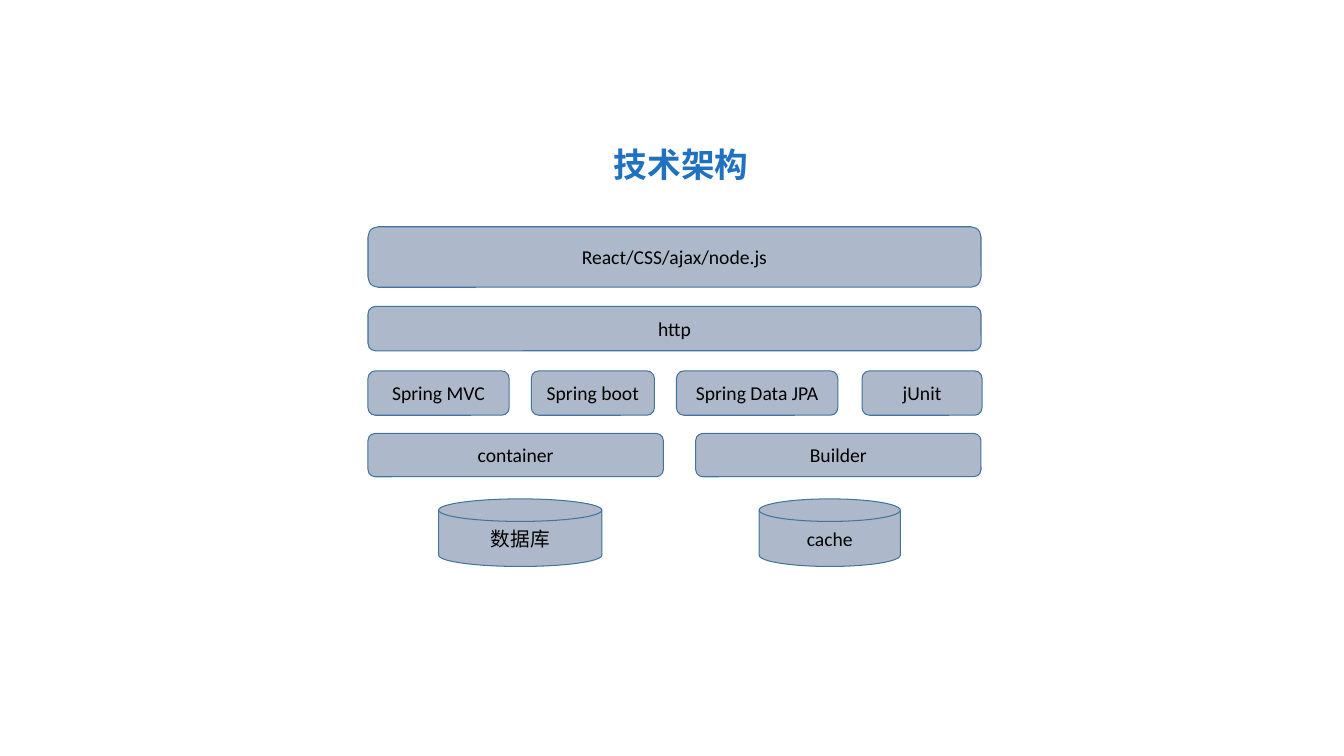
from dataclasses import dataclass

from lxml import etree
from pptx import Presentation
from pptx import util as u
from pptx.dml.color import RGBColor
from pptx.enum import shapes, text
from pptx.oxml.ns import qn
from pptx.slide import Slide
from pptx.text.text import TextFrame

COLORS = {"title": "2071C0", "fill": "ADB9CA", "line": "43739E", "label": "000000"}
LATIN_FONT = "Calibri"
CHINESE_FONT = "Noto Sans CJK SC"
BLOCK = shapes.MSO_SHAPE.ROUNDED_RECTANGLE
STORE = shapes.MSO_SHAPE.FLOWCHART_MAGNETIC_DISK
LEFT = 3.65
FULL_WIDTH = 6.08


@dataclass(frozen=True)
class Component:
    label: str
    left: float
    width: float


@dataclass(frozen=True)
class Layer:
    top: float
    height: float
    components: tuple[Component, ...]
    kind: shapes.MSO_SHAPE = BLOCK


LAYERS = (
    Layer(2.25, 0.6, (Component("React/CSS/ajax/node.js", LEFT, FULL_WIDTH),)),
    Layer(3.04, 0.44, (Component("http", LEFT, FULL_WIDTH),)),
    Layer(3.68, 0.44, (
        Component("Spring MVC", LEFT, 1.4),
        Component("Spring boot", 5.27, 1.22),
        Component("Spring Data JPA", 6.71, 1.6),
        Component("jUnit", 8.55, 1.19),
    )),
    Layer(4.3, 0.43, (
        Component("container", LEFT, 2.93),
        Component("Builder", 6.9, 2.83),
    )),
    Layer(4.95, 0.67, (
        Component("数据库", 4.35, 1.62),
        Component("cache", 7.53, 1.4),
    ), STORE),
)


def format_text(frame: TextFrame, size: float, color: str, latin: str, bold: bool) -> None:
    """Centre the text and set its Latin and East Asian fonts."""
    frame.vertical_anchor = text.MSO_ANCHOR.MIDDLE
    for paragraph in frame.paragraphs:
        paragraph.alignment = text.PP_ALIGN.CENTER
        for run in paragraph.runs:
            run.font.size = u.Pt(size)
            run.font.bold = bold
            run.font.name = latin
            run.font.color.rgb = RGBColor.from_string(COLORS[color])
            east_asian = etree.SubElement(run.font._element, qn("a:ea"))
            east_asian.set("typeface", CHINESE_FONT)


def add_title(slide: Slide) -> None:
    title = slide.shapes.title
    title.left, title.top = u.Inches(5.98), u.Inches(1.38)
    title.width, title.height = u.Inches(1.55), u.Inches(0.5)
    frame = title.text_frame
    frame.text = "技术架构"
    frame.word_wrap = False
    frame.auto_size = text.MSO_AUTO_SIZE.NONE
    format_text(frame, 24, "title", CHINESE_FONT, bold=True)


def add_layer(slide: Slide, layer: Layer) -> None:
    for component in layer.components:
        shape = slide.shapes.add_shape(
            layer.kind,
            u.Inches(component.left), u.Inches(layer.top),
            u.Inches(component.width), u.Inches(layer.height),
        )
        shape.shadow.inherit = False
        shape.fill.solid()
        shape.fill.fore_color.rgb = RGBColor.from_string(COLORS["fill"])
        shape.line.color.rgb = RGBColor.from_string(COLORS["line"])
        shape.line.width = u.Pt(0.75)
        shape.text_frame.text = component.label
        format_text(shape.text_frame, 14, "label", LATIN_FONT, bold=False)


def main() -> None:
    presentation = Presentation()
    presentation.slide_width = u.Inches(13.33)
    presentation.slide_height = u.Inches(7.5)
    title_only = presentation.slide_layouts.get_by_name("Title Only")
    slide = presentation.slides.add_slide(title_only)
    add_title(slide)
    for layer in LAYERS:
        add_layer(slide, layer)
    presentation.save("out.pptx")


if __name__ == "__main__":
    main()
